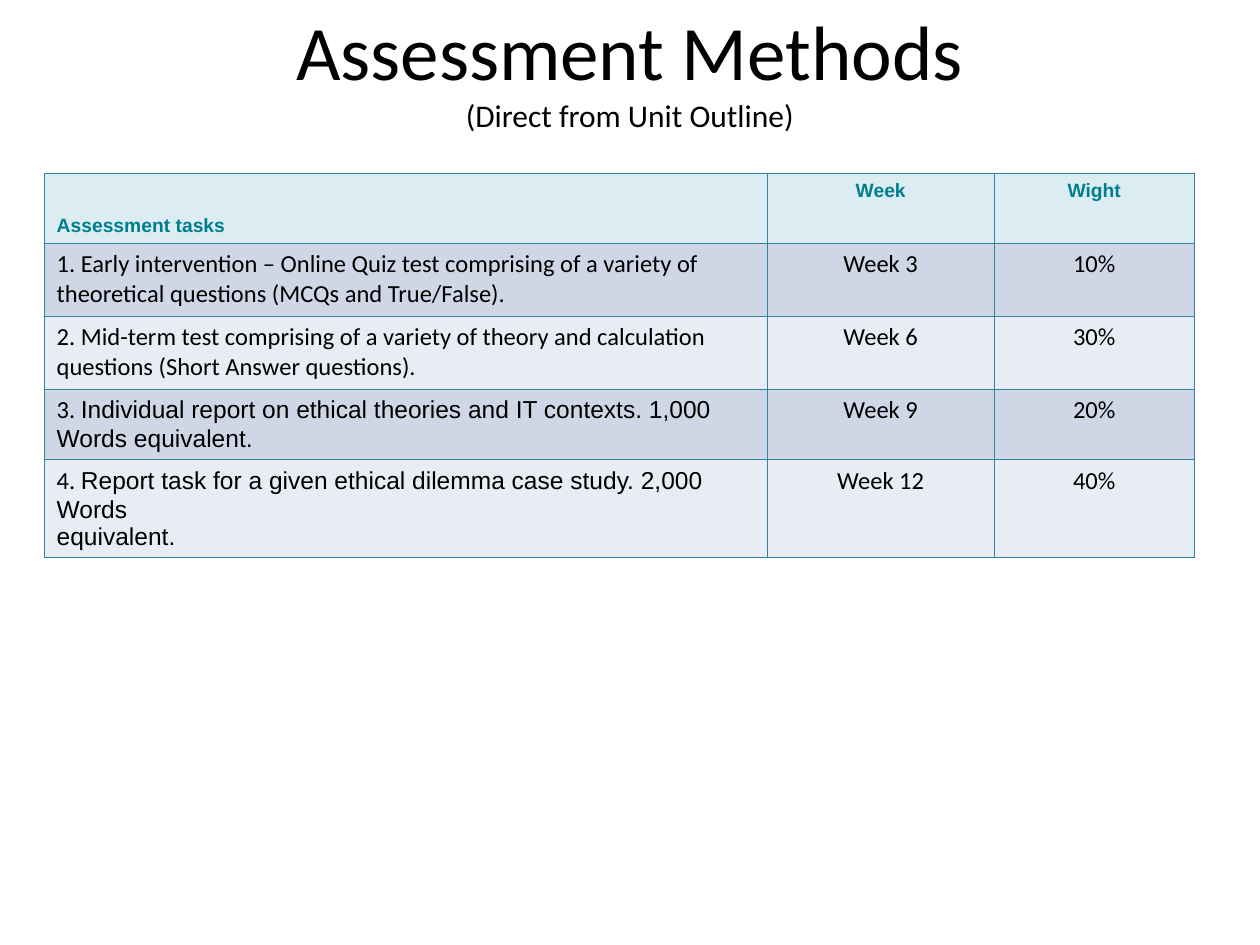
from dataclasses import dataclass

from lxml import etree
from pptx import Presentation
from pptx.dml.color import RGBColor
from pptx.enum.text import MSO_ANCHOR, MSO_AUTO_SIZE, PP_ALIGN
from pptx.oxml.ns import qn
from pptx.util import Inches, Pt

LEFT, CENTER = PP_ALIGN.LEFT, PP_ALIGN.CENTER
TOP, MIDDLE, BOTTOM = MSO_ANCHOR.TOP, MSO_ANCHOR.MIDDLE, MSO_ANCHOR.BOTTOM
NO_FIT = MSO_AUTO_SIZE.NONE


@dataclass(frozen=True)
class Theme:
    """Colours, fonts and type sizes of the slide."""
    text: str = "000000"
    accent: str = "007E8D"
    border: str = "30849B"
    header: str = "DBEDF3"
    bands: tuple = ("CFD7E7", "E8ECF4")
    font: str = "Calibri"
    alt_font: str = "Arial"
    title: int = 44
    subtitle: int = 18
    body: int = 14
    label: int = 11
    line: float = 0.75


THEME = Theme()
COLUMNS = (5.74, 1.8, 1.59)
ROWS = (0.55, 0.58, 0.58, 0.56, 0.77)
HEADINGS = ("Assessment tasks", "Week", "Wight")
TASKS = (
    ("1. Early intervention – Online Quiz test comprising of a variety of "
     "theoretical questions (MCQs and True/False).", (), "Week 3", "10%"),
    ("2. Mid-term test comprising of a variety of theory and calculation "
     "questions (Short Answer questions).", (), "Week 6", "30%"),
    ("3. ", ("Individual report on ethical theories and IT contexts. "
             "1,000 Words equivalent.",), "Week 9", "20%"),
    ("4. ", ("Report task for a given ethical dilemma case study. 2,000 Words",
             "equivalent."), "Week 12", "40%"),
)


def add_text(p, text, size=THEME.body, font=THEME.font, color=THEME.text,
             bold=False, align=LEFT):
    """Add a formatted run to a paragraph."""
    p.alignment = align
    r = p.add_run()
    r.text = text
    r.font.size = Pt(size)
    r.font.name = font
    r.font.bold = bold
    r.font.color.rgb = RGBColor.from_string(color)


def add_title(s):
    """Fill the title placeholder with the heading and its subtitle."""
    sp = s.shapes.title
    sp.left, sp.top = Inches(0.5), Inches(0.34)
    sp.width, sp.height = Inches(9), Inches(1.16)
    tf = sp.text_frame
    tf.auto_size = NO_FIT
    tf.vertical_anchor = MIDDLE
    tf.margin_top, tf.margin_bottom = Inches(0.04), Inches(0.79)
    p = tf.paragraphs[0]
    add_text(p, "Assessment Methods", size=THEME.title, align=CENTER)
    p.add_line_break()
    add_text(p, "(Direct from Unit Outline)", size=THEME.subtitle, align=CENTER)


def set_borders(cell):
    """Draw a thin line on all four sides of a cell."""
    tc_pr = cell._tc.get_or_add_tcPr()
    for side in ("a:lnL", "a:lnR", "a:lnT", "a:lnB"):
        ln = etree.SubElement(tc_pr, qn(side), w=str(Pt(THEME.line)))
        fill = etree.SubElement(ln, qn("a:solidFill"))
        etree.SubElement(fill, qn("a:srgbClr"), val=THEME.border)


def format_cell(cell, fill, margin=0.1, anchor=TOP):
    """Set borders, fill, side margins and anchor, and return the paragraph."""
    set_borders(cell)
    cell.fill.solid()
    cell.fill.fore_color.rgb = RGBColor.from_string(fill)
    cell.margin_left = cell.margin_right = Inches(margin)
    cell.margin_top = cell.margin_bottom = Inches(0.05)
    cell.vertical_anchor = anchor
    return cell.text_frame.paragraphs[0]


def add_header(table):
    """Fill the heading row."""
    for col, heading in enumerate(HEADINGS):
        p = format_cell(table.cell(0, col), THEME.header,
                        anchor=TOP if col else BOTTOM)
        add_text(p, heading, size=THEME.label, font=THEME.alt_font,
                 color=THEME.accent, bold=True, align=CENTER if col else LEFT)


def add_task(table, row, task):
    """Fill one banded row with a task, its week and its weight."""
    lead, details, *values = task
    fill = THEME.bands[(row - 1) % 2]
    cell = table.cell(row, 0)
    p = format_cell(cell, fill)
    add_text(p, lead)
    for i, detail in enumerate(details):
        p = cell.text_frame.add_paragraph() if i else p
        add_text(p, detail, font=THEME.alt_font)
    for col, value in enumerate(values, 1):
        p = format_cell(table.cell(row, col), fill, margin=0.05)
        add_text(p, value, align=CENTER)


def add_assessment_table(s):
    """Add the table of assessment tasks."""
    table = s.shapes.add_table(
        len(ROWS), len(COLUMNS), Inches(0.35), Inches(1.38),
        Inches(sum(COLUMNS)), Inches(sum(ROWS))).table
    for column, width in zip(table.columns, COLUMNS):
        column.width = Inches(width)
    for row, height in zip(table.rows, ROWS):
        row.height = Inches(height)
    add_header(table)
    for row, task in enumerate(TASKS, 1):
        add_task(table, row, task)


def main():
    """Build and save the slide."""
    prs = Presentation()
    prs.slide_width, prs.slide_height = Inches(10), Inches(7.5)
    s = prs.slides.add_slide(prs.slide_layouts[5])
    add_title(s)
    add_assessment_table(s)
    prs.save("out.pptx")


if __name__ == "__main__":
    main()
